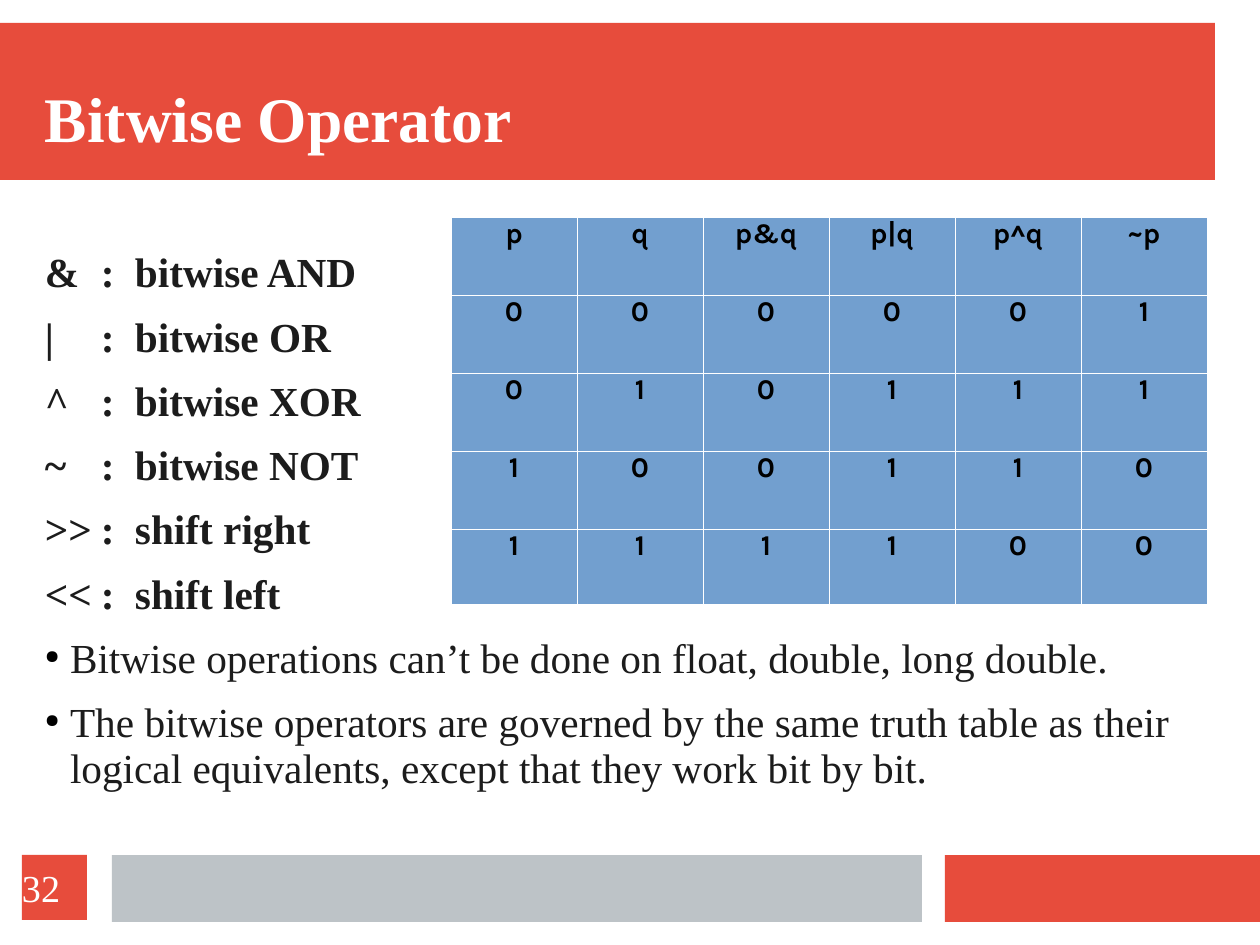
import pptx
import pptx.util
import pptx.dml.color
import pptx.enum.shapes
import pptx.enum.text
import pptx.oxml.ns
from lxml import etree

# Content
TITLE = "Bitwise Operator"
NUMBER = "32"
OPS = [
    ("&", "bitwise AND"),
    ("|", "bitwise OR"),
    ("^", "bitwise XOR"),
    ("~", "bitwise NOT"),
    (">>", "shift right"),
    ("<<", "shift left"),
]
NOTES = [
    "Bitwise operations can’t be done on float, double, long double.",
    "The bitwise operators are governed by the same truth table as their "
    "logical equivalents, except that they work bit by bit.",
]
TRUTH = [
    ("p", "q", "p&q", "p|q", "p^q", "~p"),
    (0, 0, 0, 0, 0, 1),
    (0, 1, 0, 1, 1, 1),
    (1, 0, 0, 1, 1, 0),
    (1, 1, 1, 1, 0, 0),
]

# Look
HEX = {"red": "E74C3C", "gray": "BDC3C7", "blue": "729FCF",
       "white": "FFFFFF", "ink": "1C1C1C", "black": "000000"}
SERIF = "Times New Roman"
HEAD = {"name": SERIF, "size": 40, "bold": True, "color": "white"}
TERM = {"name": SERIF, "size": 26, "bold": True, "color": "ink"}
NOTE = {**TERM, "bold": False}
CELL = {"name": "Karla", "size": 18, "bold": True, "color": "black"}
PAGE = {"name": SERIF, "size": 24, "bold": False, "color": "white"}

# Places in px: left, top, width, height
SIZE = (1260, 945)
BARS = [
    ((0, 23, 1215, 157), "red"),
    ((945, 855, 315, 67), "red"),
    ((112, 855, 810, 67), "gray"),
]
HEAD_BOX = (45, 45, 1170, 112)
BODY_BOX = (45, 247, 1148, 585)
GRID_BOX = (451, 217, 756, 387)
PAGE_BOX = (22, 855, 65, 65)
ROW = 78
STOPS = (56, 90)
HANG = 25

ALIGN = pptx.enum.text.PP_ALIGN
ANCHOR = pptx.enum.text.MSO_ANCHOR
qn = pptx.oxml.ns.qn


def px(n):
    return pptx.util.Emu(n * 8000)


def rgb(key):
    return pptx.dml.color.RGBColor.from_string(HEX[key])


def add(up, tag, **attrs):
    node = etree.SubElement(up, qn("a:" + tag))
    for key, val in attrs.items():
        node.set(key, str(val))
    return node


def paint(shape, key):
    shape.fill.solid()
    shape.fill.fore_color.rgb = rgb(key)


def write(para, text, look, **form):
    for key, val in form.items():
        setattr(para, key, val)
    run = para.add_run()
    run.text = str(text)
    for key, val in look.items():
        if key == "color":
            run.font.color.rgb = rgb(val)
        else:
            setattr(run.font, key, pptx.util.Pt(val) if key == "size" else val)


def frame(shape, anchor, top=0):
    text = shape.text_frame
    form = {"word_wrap": True, "vertical_anchor": anchor,
            "auto_size": pptx.enum.text.MSO_AUTO_SIZE.NONE,
            "margin_left": 0, "margin_right": 0,
            "margin_top": px(top), "margin_bottom": 0}
    for key, val in form.items():
        setattr(text, key, val)
    return text


def block(slide, box, key):
    kind = pptx.enum.shapes.MSO_SHAPE.RECTANGLE
    shape = slide.shapes.add_shape(kind, *map(px, box))
    shape.shadow.inherit = False
    paint(shape, key)
    shape.line.fill.background()
    return shape


def bullet(para):
    props = para._p.get_or_add_pPr()
    props.set("marL", str(px(HANG)))
    props.set("indent", str(px(-HANG)))
    add(add(props, "buClr"), "srgbClr", val=HEX["black"])
    add(props, "buSzPct", val=45000)
    add(props, "buChar", char="●")


def tabs(para):
    stops = add(para._p.get_or_add_pPr(), "tabLst")
    for stop in STOPS:
        add(stops, "tab", pos=px(stop), algn="l")


def body(slide):
    text = frame(slide.shapes.add_textbox(*map(px, BODY_BOX)), ANCHOR.TOP, 4)
    lines = [(f"{sign}\t:\t{name}", TERM, tabs) for sign, name in OPS]
    lines += [(note, NOTE, bullet) for note in NOTES]
    for i, (line, look, prep) in enumerate(lines):
        para = text.add_paragraph() if i else text.paragraphs[0]
        prep(para)
        write(para, line, look, line_spacing=0.93,
              space_after=pptx.util.Pt(11.5))


def edge(cell):
    props = cell._tc.get_or_add_tcPr()
    for i, side in enumerate(("lnL", "lnR", "lnT", "lnB")):
        line = etree.Element(qn("a:" + side), w="762")
        add(add(line, "solidFill"), "srgbClr", val=HEX["white"])
        props.insert(i, line)


def grid(slide):
    rows, cols = len(TRUTH), len(TRUTH[0])
    table = slide.shapes.add_table(rows, cols, *map(px, GRID_BOX)).table
    table.first_row = table.horz_banding = False
    for i, row in enumerate(table.rows):
        row.height = px(min(ROW, GRID_BOX[3] - i * ROW))
    for i, vals in enumerate(TRUTH):
        for j, val in enumerate(vals):
            cell = table.cell(i, j)
            paint(cell, "blue")
            edge(cell)
            write(cell.text_frame.paragraphs[0], val, CELL,
                  alignment=ALIGN.CENTER, line_spacing=0.77)


def main():
    deck = pptx.Presentation()
    deck.slide_width, deck.slide_height = map(px, SIZE)
    slide = deck.slides.add_slide(deck.slide_layouts[5])

    # Bars, with the title in front
    for box, key in BARS:
        block(slide, box, key)
    title = slide.shapes.title
    slide.shapes._spTree.append(title._element)
    title.left, title.top, title.width, title.height = map(px, HEAD_BOX)
    write(frame(title, ANCHOR.BOTTOM, 5).paragraphs[0], TITLE, HEAD,
          alignment=ALIGN.LEFT, line_spacing=0.93)

    # Operators and truth table
    body(slide)
    grid(slide)

    # Page number
    page = block(slide, PAGE_BOX, "red")
    write(frame(page, ANCHOR.MIDDLE).paragraphs[0], NUMBER, PAGE,
          alignment=ALIGN.LEFT)
    deck.save("out.pptx")


if __name__ == "__main__":
    main()
